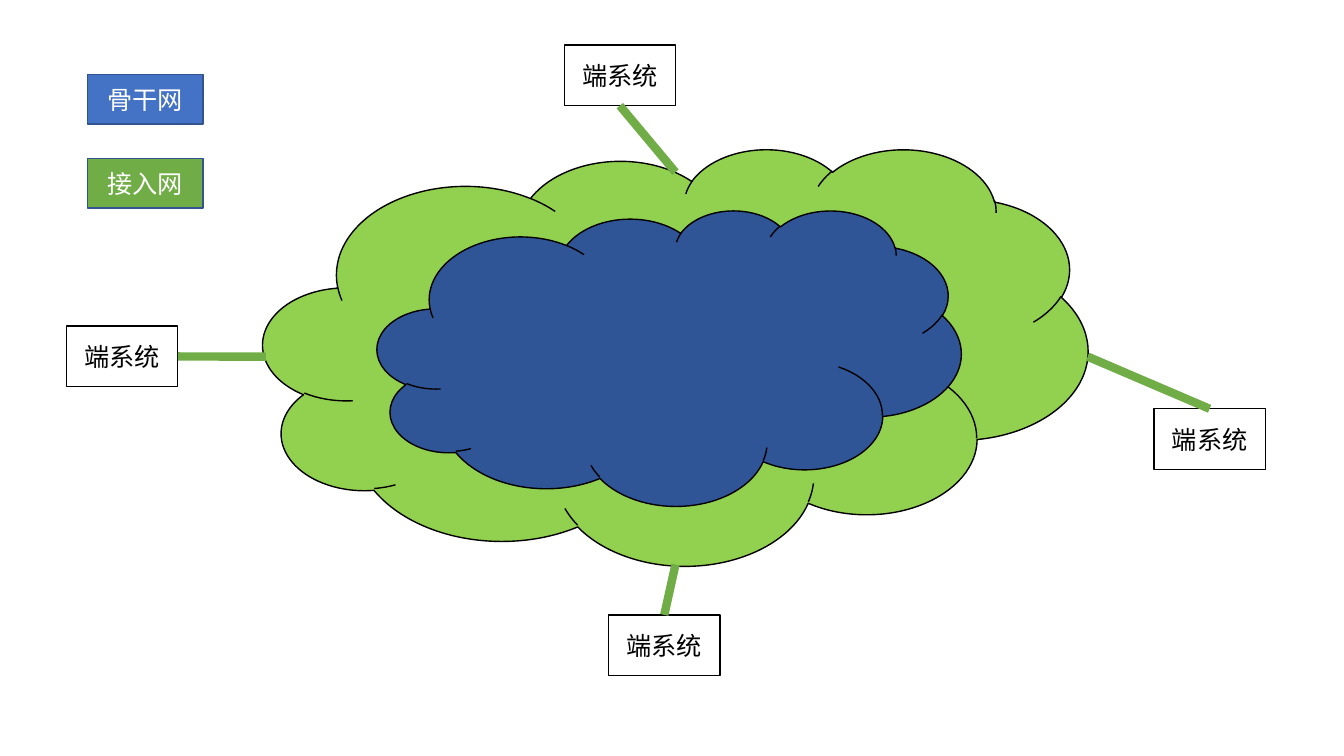
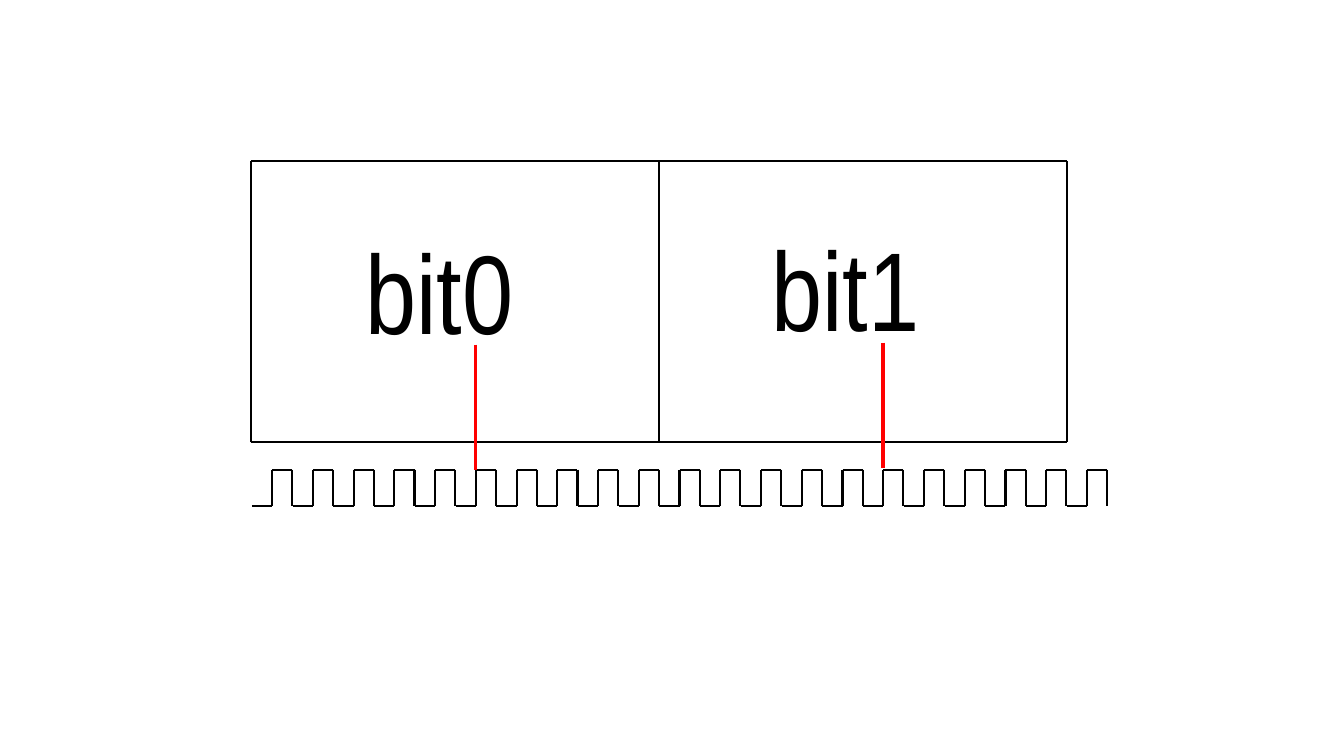
from lxml import etree
from pptx import Presentation
from pptx import util as u
from pptx.dml.color import RGBColor
from pptx.enum import shapes, text
from pptx.oxml.ns import qn

COLORS = {
    "ink": "000000",
    "paper": "FFFFFF",
    "access_cloud": "92D050",
    "backbone_cloud": "2F5597",
    "access": "70AD47",
    "backbone": "4472C4",
    "legend_edge": "325491",
    "sample": "FF0000",
}
CJK = "Noto Sans CJK SC"
LATIN = "Arial Narrow"
TOP, LEFT, BOTTOM, RIGHT = range(4)


def color(name):
    return RGBColor.from_string(COLORS[name])


def write(frame, words, size=18, font=CJK, ink="ink", align=text.PP_ALIGN.CENTER,
          anchor=text.MSO_ANCHOR.MIDDLE):
    frame.word_wrap = True
    frame.vertical_anchor = anchor
    paragraph = frame.paragraphs[0]
    paragraph.alignment = align
    run = paragraph.add_run()
    run.text = words
    run.font.size = u.Pt(size)
    run.font.color.rgb = color(ink)
    run.font.name = font
    etree.SubElement(run.font._element, qn("a:ea"), typeface=font)


class Deck:
    def __init__(self):
        self.show = Presentation()
        self.show.slide_width = u.Pt(960)
        self.show.slide_height = u.Pt(540)
        self.slide = None

    def new_slide(self):
        self.slide = self.show.slides.add_slide(self.show.slide_layouts[6])

    def group(self):
        return self.slide.shapes.add_group_shape().shapes

    def shape(self, kind, place, fill, edge="ink", parent=None):
        parent = parent or self.slide.shapes
        drawn = parent.add_shape(kind, *map(u.Pt, place))
        drawn.shadow.inherit = False
        drawn.fill.solid()
        drawn.fill.fore_color.rgb = color(fill)
        drawn.line.color.rgb = color(edge)
        drawn.line.width = u.Pt(1)
        return drawn

    def box(self, words, place, fill="paper", edge="ink", ink="ink"):
        drawn = self.shape(shapes.MSO_SHAPE.RECTANGLE, place, fill, edge)
        write(drawn.text_frame, words, ink=ink)
        return drawn

    def cloud(self, place, fill, parent):
        return self.shape(shapes.MSO_SHAPE.CLOUD, place, fill, parent=parent)

    def line(self, start, end, ink="ink", width=1.5, parent=None):
        parent = parent or self.slide.shapes
        drawn = parent.add_connector(shapes.MSO_CONNECTOR.STRAIGHT,
                                     *map(u.Pt, (*start, *end)))
        drawn.line.color.rgb = color(ink)
        drawn.line.width = u.Pt(width)
        etree.SubElement(drawn._element.spPr, qn("a:effectLst"))
        return drawn

    def label(self, words, place):
        drawn = self.slide.shapes.add_textbox(*map(u.Pt, place))
        write(drawn.text_frame, words, size=80, font=LATIN,
              align=text.PP_ALIGN.LEFT, anchor=text.MSO_ANCHOR.TOP)


def network_slide(deck):
    deck.new_slide()
    network = deck.group()
    deck.cloud((188, 106, 589, 297.5), "access_cloud", network)
    deck.cloud((269.5, 150, 417, 211), "backbone_cloud", network)

    end_systems = [
        ((47.5, 233), RIGHT, (190, 254.75)),
        ((403, 32.25), BOTTOM, (482.5, 123)),
        ((434.75, 439.25), TOP, (482.5, 403.25)),
        ((824.25, 292), TOP, (777, 254.75)),
    ]
    for corner, side, cloud_edge in end_systems:
        host = deck.box("端系统", (*corner, 79.5, 43.25))
        link = deck.line(corner, cloud_edge, "access", 6)
        link.begin_connect(host, side)

    for row, (words, fill) in enumerate([("骨干网", "backbone"), ("接入网", "access")]):
        deck.box(words, (62.5, 53.25 + 60 * row, 82.5, 35.5), fill, "legend_edge", "paper")


def sampling_slide(deck):
    deck.new_slide()
    left, cell, top, bottom = 179.25, 291.5, 114.75, 316
    cells = deck.group()
    for column in range(3):
        x = left + cell * column
        deck.line((x, bottom), (x, top), parent=cells)
    for column in range(2):
        x = left + cell * column
        for y in (top, bottom):
            deck.line((x, y), (x + cell, y), parent=cells)

    low, high, half, pitch = 361.25, 335.5, 14.4, 29.1
    for tick in range(21):
        start = 180 + pitch * tick
        rise, fall = start + half, start + 2 * half
        corners = [(start, low), (rise, low), (rise, high), (fall, high), (fall, low)]
        pulse = deck.group()
        for begin, end in zip(corners, corners[1:]):
            deck.line(begin, end, parent=pulse)

    for x, y in ((339.75, 246.25), (630.75, 244.75)):
        deck.line((x, y), (x, y + 89.25), "sample", 2.25)
    deck.label("bit0", (254, 155.5, 173, 104.5))
    deck.label("bit1", (543.75, 153.25, 173, 104.5))


def main():
    deck = Deck()
    network_slide(deck)
    sampling_slide(deck)
    deck.show.save("out.pptx")


if __name__ == "__main__":
    main()
